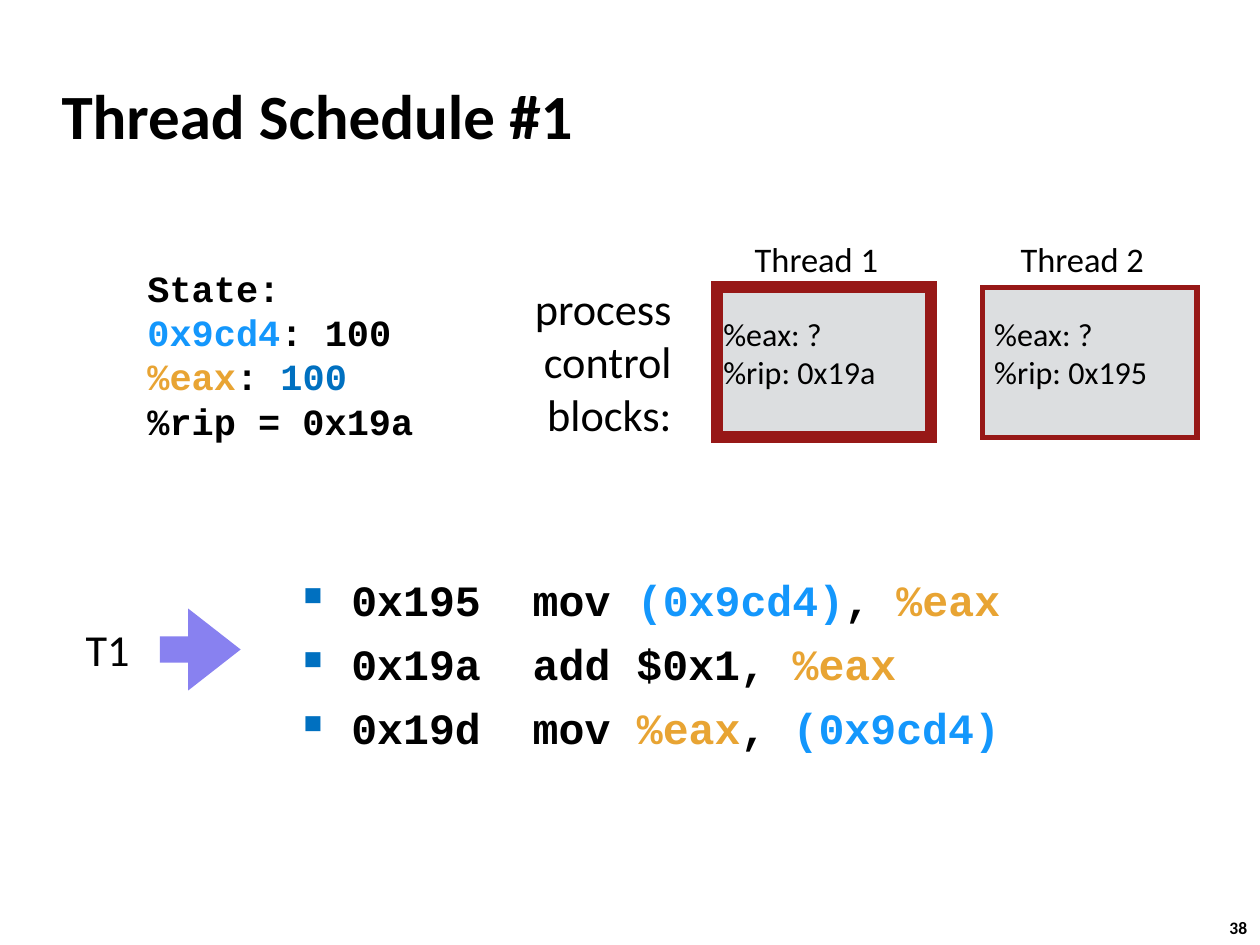
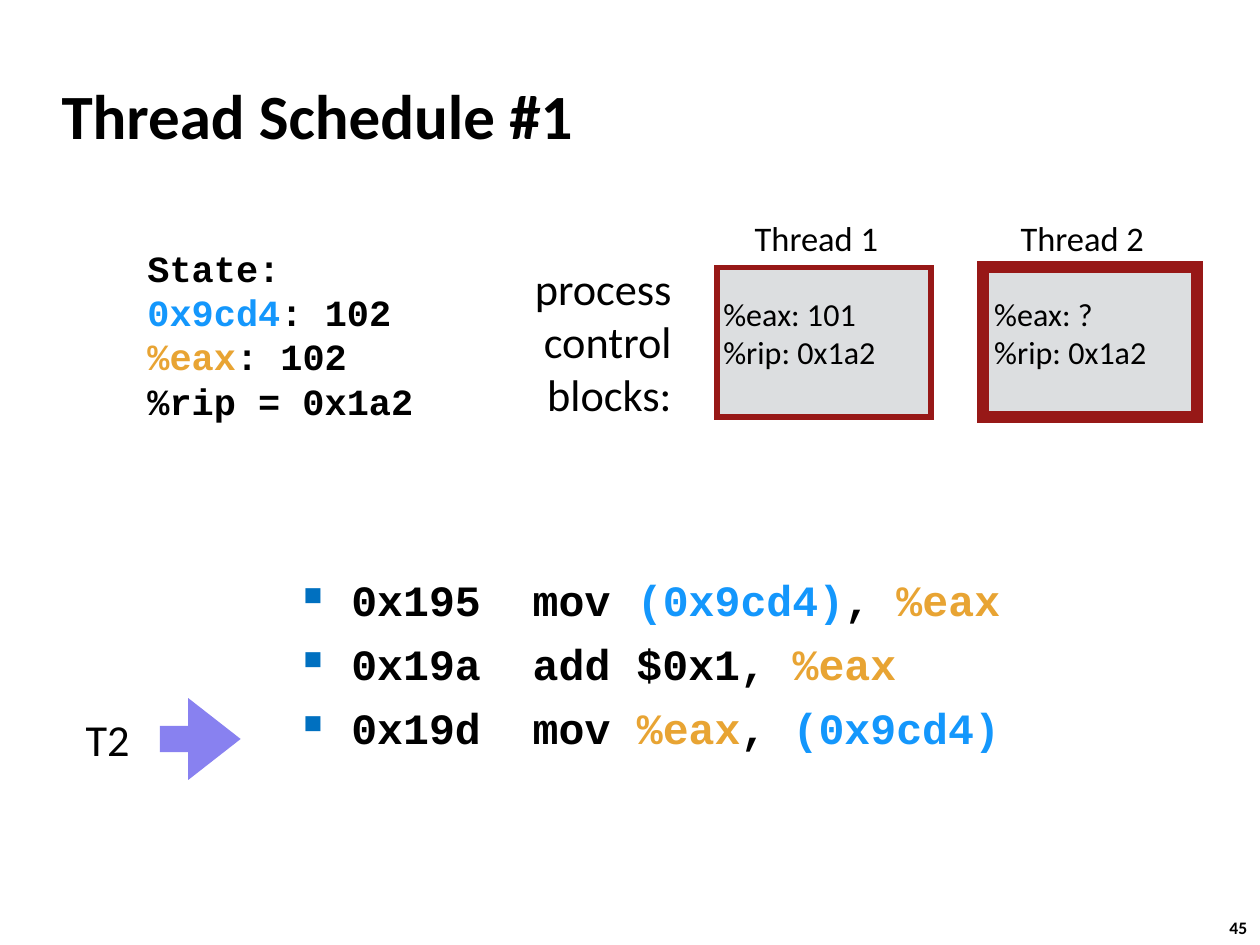
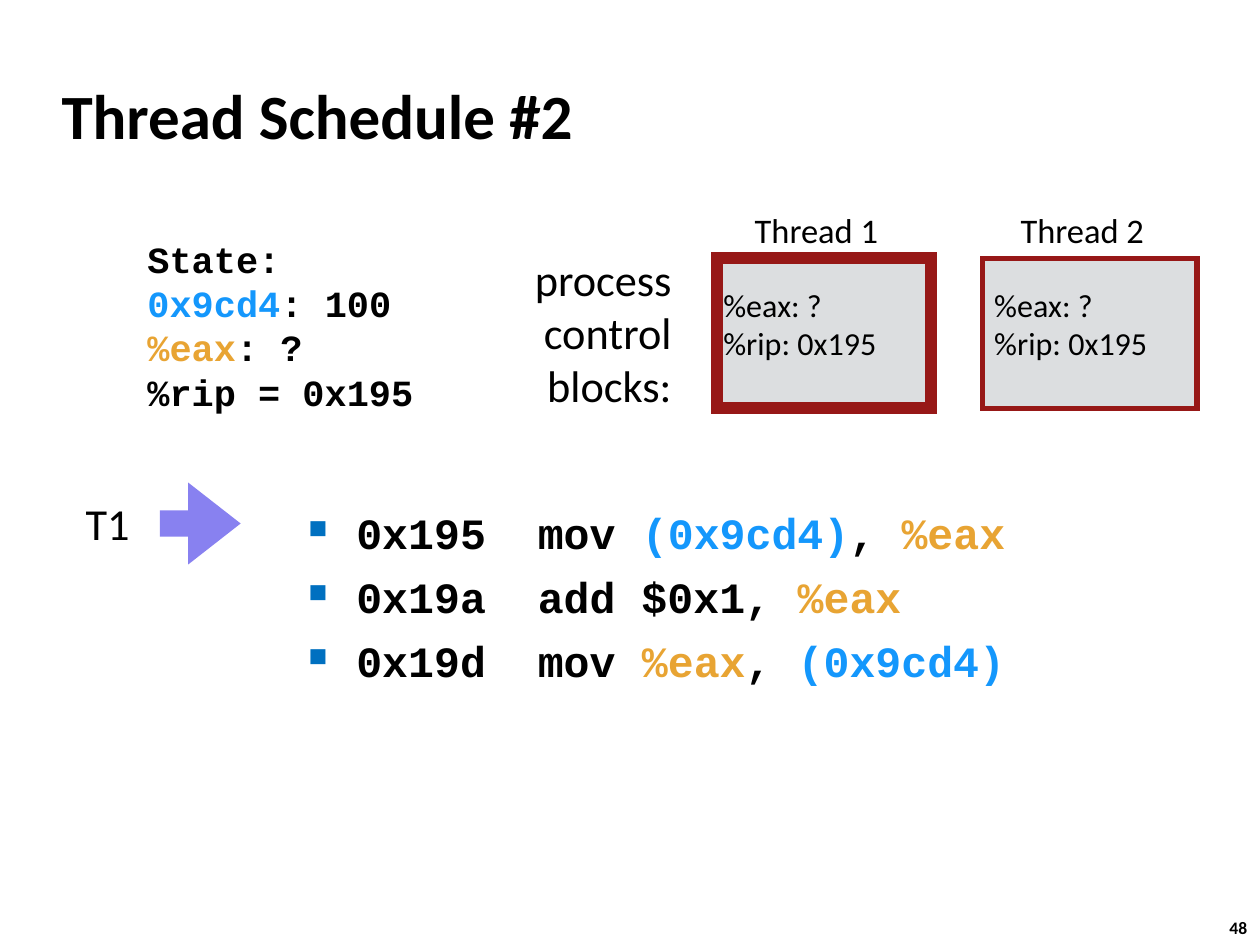
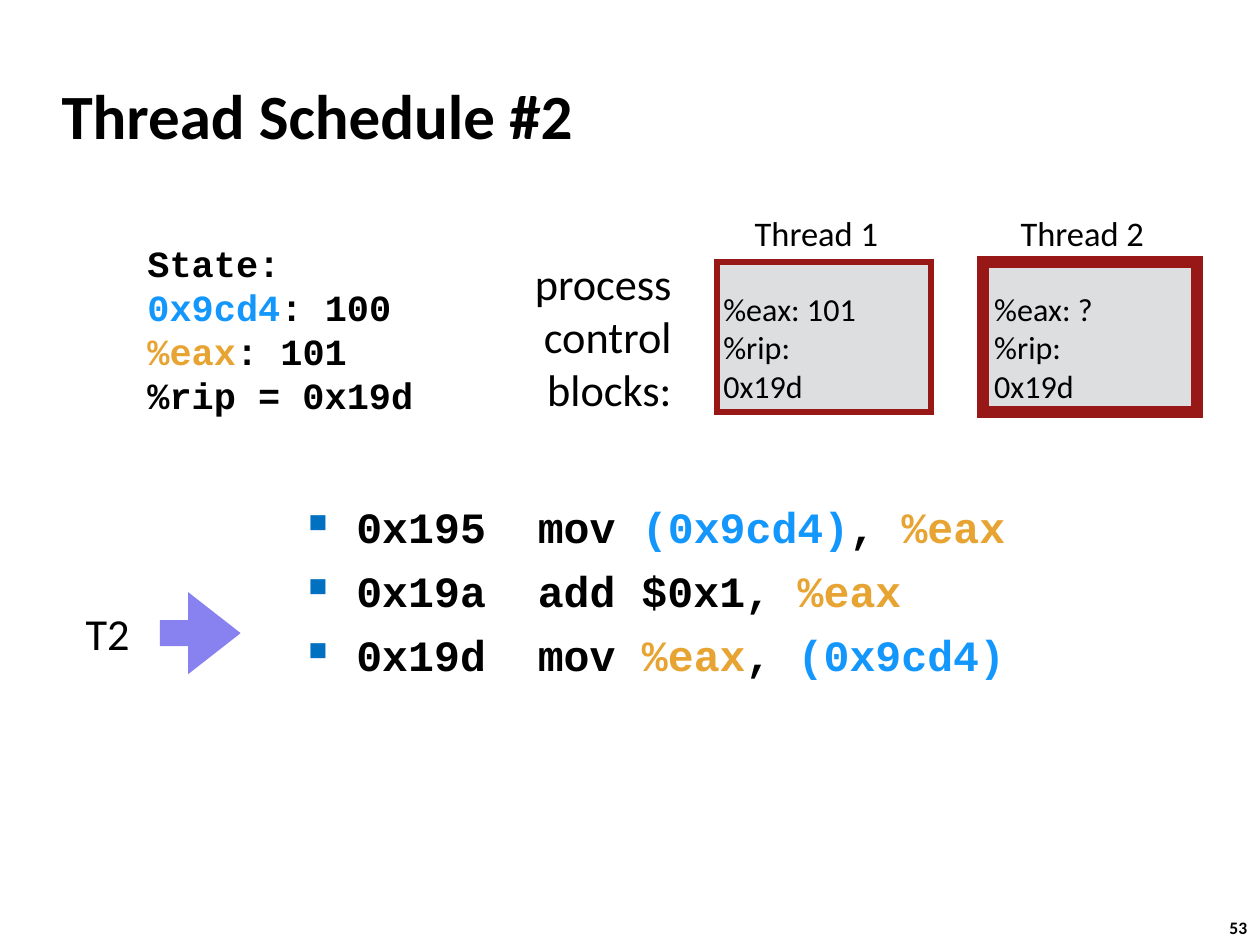
from lxml import etree
from pptx import Presentation
from pptx.dml.color import RGBColor
from pptx.enum.shapes import MSO_SHAPE
from pptx.enum.text import MSO_ANCHOR, MSO_AUTO_SIZE, PP_ALIGN
from pptx.oxml.ns import qn
from pptx.util import Inches, Pt

RECTANGLE, ARROW = MSO_SHAPE.RECTANGLE, MSO_SHAPE.RIGHT_ARROW
TOP, MIDDLE = MSO_ANCHOR.TOP, MSO_ANCHOR.MIDDLE
LEFT, RIGHT = PP_ALIGN.LEFT, PP_ALIGN.RIGHT
GROW, FIXED = MSO_AUTO_SIZE.SHAPE_TO_FIT_TEXT, MSO_AUTO_SIZE.NONE

BLACK, ADDRESS, REGISTER, ACCENT = "000000", "1497FC", "E8A433", "0070C0"
BLOCK_FILL, BLOCK_LINE, ARROW_FILL = "DCDEE0", "971817", "8881F0"
SANS, MONO = "Calibri", "Courier New"

deck = Presentation()
deck.slide_width, deck.slide_height = Inches(10), Inches(7.5)
# The grid has 100 columns and 75 rows
COLUMN = deck.slide_width / 100
ROW = deck.slide_height / 75


def colour(value):
    return RGBColor.from_string(value)


def add_text(page, place, lines, size, font=SANS, bold=False, align=LEFT,
             anchor=MIDDLE, insets=(0.04, 0.04), fit=GROW):
    """Add a text box; each line is a list of (text, colour) spans."""
    left, top, width, height = place
    box = page.shapes.add_textbox(round(left * COLUMN), round(top * ROW),
                                  round(width * COLUMN), round(height * ROW))
    frame = box.text_frame
    frame.word_wrap = fit == FIXED
    frame.auto_size = fit
    frame.vertical_anchor = anchor
    frame.margin_left = frame.margin_right = Inches(insets[0])
    frame.margin_top = frame.margin_bottom = Inches(insets[1])
    for number, spans in enumerate(lines):
        para = frame.add_paragraph() if number else frame.paragraphs[0]
        para.alignment = align
        for text, tint in spans:
            span = para.add_run()
            span.text = text
            span.font.name, span.font.size, span.font.bold = font, Pt(size), bold
            span.font.color.rgb = colour(tint)
    return box


# Assembly listing shown on every slide
LISTING = [
    [("0x195  mov ", BLACK), ("(0x9cd4)", ADDRESS), (", ", BLACK), ("%eax", REGISTER)],
    [("0x19a  add $0x1, ", BLACK), ("%eax", REGISTER)],
    [("0x19d  mov ", BLACK), ("%eax", REGISTER), (", ", BLACK), ("(0x9cd4)", ADDRESS)],
]

# Rows give the tops of the control blocks, the arrow and the listing
SCHEDULES = [
    dict(number="38", title="Thread Schedule #1", active=1, block_row=22.8, arrow_row=48.3,
         code=(23.1, 44.2), memory="100", eax="100", eax_colour=ACCENT, rip="0x19a",
         saved=[("?", "0x19a"), ("?", "0x195")]),
    dict(number="45", title="Thread Schedule #1", active=2, block_row=21.2, arrow_row=55.4,
         code=(23.1, 44.2), memory="102", eax="102", eax_colour=BLACK, rip="0x1a2",
         saved=[("101", "0x1a2"), ("?", "0x1a2")]),
    dict(number="48", title="Thread Schedule #2", active=1, block_row=20.5, arrow_row=38.3,
         code=(23.5, 38.9), memory="100", eax="?", eax_colour=BLACK, rip="0x195",
         saved=[("?", "0x195"), ("?", "0x195")]),
    dict(number="53", title="Thread Schedule #2", active=2, block_row=20.8, arrow_row=47,
         code=(23.5, 38.4), memory="100", eax="101", eax_colour=BLACK, rip="0x19d",
         saved=[("101", "0x19d"), ("?", "0x19d")]),
]

for schedule in SCHEDULES:
    page = deck.slides.add_slide(deck.slide_layouts[6])
    block_row, arrow_row = schedule["block_row"], schedule["arrow_row"]

    # Page number and title
    add_text(page, (96.6, 72.3, 3.7, 2.7), [[(schedule["number"], BLACK)]], 10,
             bold=True, anchor=TOP, insets=(0.1, 0.05))
    title = add_text(page, (3.9, 4.9, 83, 8.3), [[(schedule["title"], BLACK)]], 36,
                     bold=True, insets=(0.1, 0.05), fit=FIXED)
    properties = title.text_frame.paragraphs[0]._p.get_or_add_pPr()
    properties.set("marL", str(Inches(0.13)))
    properties.set("indent", str(-Inches(0.13)))

    # Process control blocks, the running thread with a heavy outline
    for index, (eax, rip) in enumerate(schedule["saved"]):
        thread = index + 1
        block_column = 56.9 + 21.1 * index
        block = page.shapes.add_shape(RECTANGLE, round(block_column * COLUMN),
                                      round(block_row * ROW), round(17 * COLUMN),
                                      round(11.9 * ROW))
        block.shadow.inherit = False
        block.fill.solid()
        block.fill.fore_color.rgb = colour(BLOCK_FILL)
        block.line.color.rgb = colour(BLOCK_LINE)
        block.line.width = Pt(7 if thread == schedule["active"] else 3)
        outline = block._element.spPr.find(qn("a:ln"))
        etree.SubElement(outline, qn("a:miter"), lim="800000")
        add_text(page, (block_column + 2.6, block_row - 4.35, 10.7, 4.1),
                 [[(f"Thread {thread}", BLACK)]], 19.7)
        add_text(page, (57.4 + 21.5 * index, block_row + 2.15, 12.2, 6.2),
                 [[(f"%eax: {eax}", BLACK)], [(f"%rip: {rip}", BLACK)]], 18.3,
                 anchor=TOP, insets=(0, 0))

    # Machine state and the caption of the blocks
    state = [
        [("State:", BLACK)],
        [("0x9cd4", ADDRESS), (f": {schedule['memory']}", BLACK)],
        [("%eax", REGISTER), (": ", BLACK), (schedule["eax"], schedule["eax_colour"])],
        [(f"%rip = {schedule['rip']}", BLACK)],
    ]
    add_text(page, (11.3, block_row - 2.2, 22.2, 15), state, 21.1, font=MONO, bold=True)
    caption = [[(word, BLACK)] for word in ("process", "control", "blocks:")]
    add_text(page, (41.8, block_row - 0.95, 11.9, 13.6), caption, 25.3, align=RIGHT)

    # Arrow at the current instruction
    add_text(page, (6.4, arrow_row + 0.7, 4.3, 5), [[(f"T{schedule['active']}", BLACK)]], 25.3)
    arrow = page.shapes.add_shape(ARROW, round(12.7 * COLUMN), round(arrow_row * ROW),
                                  round(6.4 * COLUMN), round(6.5 * ROW))
    arrow.adjustments[0], arrow.adjustments[1] = 0.32, 0.65
    arrow.shadow.inherit = False
    arrow.fill.solid()
    arrow.fill.fore_color.rgb = colour(ARROW_FILL)
    arrow.line.fill.background()

    # Bulleted listing
    code = add_text(page, (*schedule["code"], 60.4, 15.1), LISTING, 24.7, font=MONO,
                    bold=True, anchor=TOP, insets=(0.1, 0.05), fit=FIXED)
    code.text_frame.margin_top = Inches(0.13)
    for number, para in enumerate(code.text_frame.paragraphs):
        properties = para._p.get_or_add_pPr()
        properties.set("marL", str(Inches(0.38)))
        properties.set("indent", str(-Inches(0.38)))
        bullet_colour = etree.SubElement(properties, qn("a:buClr"))
        etree.SubElement(bullet_colour, qn("a:srgbClr"), val=ACCENT)
        etree.SubElement(properties, qn("a:buSzPct"), val="60000")
        etree.SubElement(properties, qn("a:buChar"), char="■")
        if number:
            para.space_before = Pt(7)

deck.save("out.pptx")
